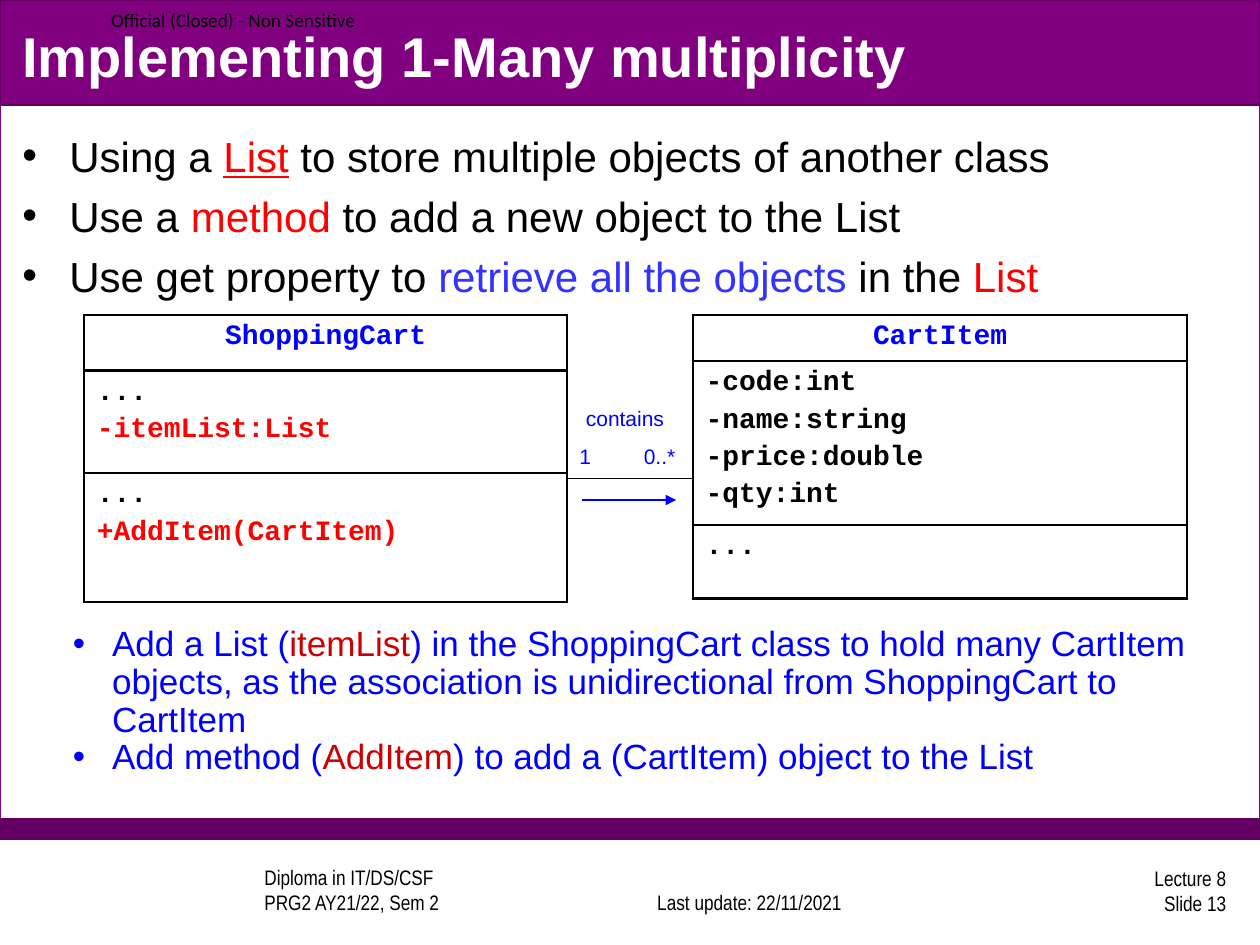
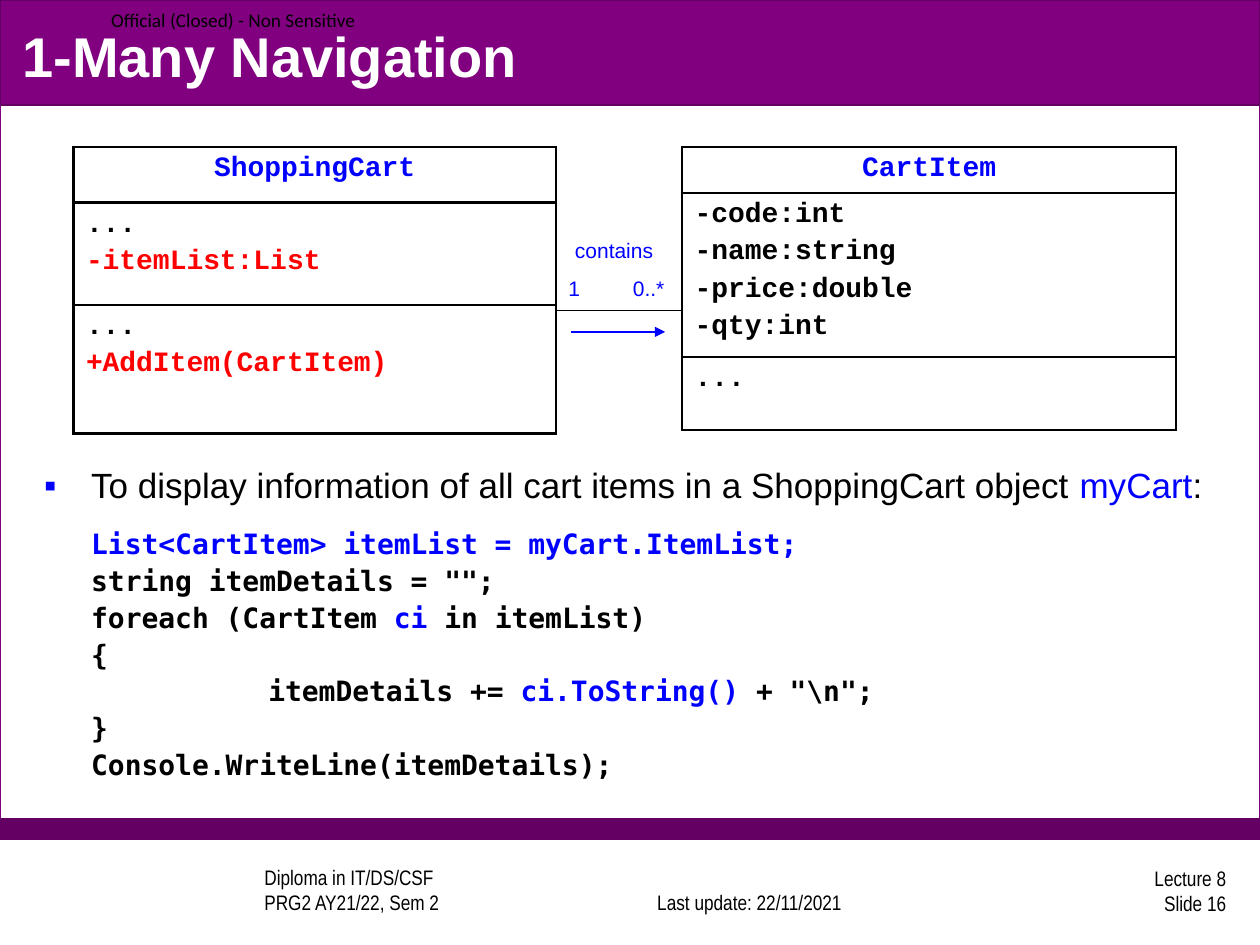
import pptx
import pptx.util
import pptx.dml.color
import pptx.enum.shapes
import pptx.enum.text
import pptx.oxml
import pptx.oxml.ns

Cm = pptx.util.Cm
Pt = pptx.util.Pt
Align = pptx.enum.text.PP_ALIGN
Anchor = pptx.enum.text.MSO_ANCHOR

BLACK, WHITE, BLUE, RED = "000000", "FFFFFF", "0000FF", "FF0000"
PURPLE, DARK_PURPLE, DARK_RED, SOFT_BLUE = "800080", "640064", "CC0000", "3333FF"

TITLE = {"size": 32, "name": "Arial", "bold": True}
BODY = {"size": 24, "name": "Arial"}
NOTE = {"size": 20, "name": "Arial"}
LABEL = {"size": 12, "name": "Arial"}
MEMBER = {"size": 16, "name": "Courier New", "bold": True}
CODE = {"size": 16, "name": "DejaVu Sans Mono", "bold": True}
FOOTER = {"size": 12, "name": "Arial Narrow"}
MARKING = {"size": 11, "name": "Calibri"}

BANDS = [
    ((0, 0, 25.4, 16.93), WHITE, PURPLE),
    ((0, 16.51, 25.4, 0.42), DARK_PURPLE, DARK_PURPLE),
    ((0, 0, 25.4, 2.12), PURPLE, DARK_PURPLE),
]
CART = [
    (1.12, [("ShoppingCart", BLUE)]),
    (2.07, [("...", BLACK), ("-itemList:List", RED)]),
    (2.59, [("...", BLACK), ("+AddItem(CartItem)", RED)]),
]
ITEM = [
    (0.89, [("CartItem", BLUE)]),
    (3.15, [("-code:int", BLACK), ("-name:string", BLACK),
            ("-price:double", BLACK), ("-qty:int", BLACK)]),
    (1.48, [("...", BLACK)]),
]
CART_WIDTH, GAP_WIDTH, ITEM_WIDTH = 9.73, 2.54, 9.96

LIST_POINTS = [
    [("Using a ", BLACK), ("List", RED, True),
     (" to store multiple objects of another class", BLACK)],
    [("Use a ", BLACK), ("method", RED), (" to add a new object to the List", BLACK)],
    [("Use get property to ", BLACK), ("retrieve all the objects", SOFT_BLUE),
     (" in the ", BLACK), ("List", RED)],
]
CLASS_POINTS = [
    [("Add a List (", BLUE), ("itemList", DARK_RED),
     (") in the ShoppingCart class to hold many CartItem objects, as the association "
      "is unidirectional from ShoppingCart to CartItem", BLUE)],
    [("Add method (", BLUE), ("AddItem", DARK_RED),
     (") to add a (CartItem) object to the List", BLUE)],
]
DISPLAY_POINT = [
    ("To display information of all cart items in a ShoppingCart object ", BLACK),
    ("myCart", BLUE), (":", BLACK),
]
CODE_INDENT, LOOP_INDENT = 0.95, 4.52
CODE_LINES = [
    (CODE_INDENT, [("List<CartItem> itemList = myCart.ItemList;", BLUE)]),
    (CODE_INDENT, [('string itemDetails = "";', BLACK)]),
    (CODE_INDENT, [("foreach (CartItem ", BLACK), ("ci", BLUE), (" in itemList)", BLACK)]),
    (CODE_INDENT, [("{", BLACK)]),
    (LOOP_INDENT, [("itemDetails += ", BLACK), ("ci.ToString() ", BLUE),
                   ('+ "\\n";', BLACK)]),
    (CODE_INDENT, [("}", BLACK)]),
    (CODE_INDENT, [("Console.WriteLine(itemDetails);", BLACK)]),
]


def color(value):
    return pptx.dml.color.RGBColor.from_string(value)


def add_xml(parent, tag, content="", **attributes):
    pairs = "".join(f' {key}="{value}"' for key, value in attributes.items())
    parent.append(pptx.oxml.parse_xml(
        f'<a:{tag} {pptx.oxml.ns.nsdecls("a")}{pairs}>{content}</a:{tag}>'))


def write_para(para, spans, style, indent=0, bullet=None, bullet_color=None, tab=None,
               **layout):
    properties = para._p.get_or_add_pPr()
    if indent:
        properties.set("marL", str(Cm(indent)))
        properties.set("indent", str(-Cm(indent) if bullet else 0))
    if bullet_color:
        add_xml(properties, "buClr", f'<a:srgbClr val="{bullet_color}"/>')
    if bullet:
        add_xml(properties, "buFont", typeface="Arial")
        add_xml(properties, "buChar", char=bullet)
    if tab:
        add_xml(properties, "tabLst", f'<a:tab pos="{Cm(tab)}" algn="l"/>')
    for name, value in layout.items():
        setattr(para, name, value)
    for text, span_color, *underline in spans:
        for number, line in enumerate(text.split("\n")):
            if number:
                para.add_line_break()
            span = para.add_run()
            span.text = line
            format_values = {**style, "size": Pt(style["size"]),
                             "underline": bool(underline)}
            for name, value in format_values.items():
                setattr(span.font, name, value)
            span.font.color.rgb = color(span_color)


def write_paras(frame, rows, style, space=0, **options):
    for number, spans in enumerate(rows):
        para = frame.add_paragraph() if number else frame.paragraphs[0]
        write_para(para, spans, style, space_before=Pt(space if number else 0), **options)


def add_text(page, place, rows, style, anchor=Anchor.TOP, inset=True, **options):
    box = page.shapes.add_textbox(*map(Cm, place))
    frame = box.text_frame
    frame.word_wrap = True
    frame.vertical_anchor = anchor
    if not inset:
        for side in ("left", "top", "right", "bottom"):
            setattr(frame, f"margin_{side}", 0)
    write_paras(frame, rows, style, **options)
    return frame


def add_line(page, left, right, top, line_color, arrow=False):
    line = page.shapes.add_connector(
        pptx.enum.shapes.MSO_CONNECTOR.STRAIGHT, Cm(left), Cm(top), Cm(right), Cm(top))
    line.line.color.rgb = color(line_color)
    line.line.width = Pt(0.75)
    if arrow:
        add_xml(line.line._get_or_add_ln(), "tailEnd", type="triangle")
    add_xml(line._element.spPr, "effectLst")


def add_class(page, left, top, width, sections):
    height = sum(section[0] for section in sections)
    table = page.shapes.add_table(
        len(sections), 1, Cm(left), Cm(top), Cm(width), Cm(height)).table
    table.first_row = table.horz_banding = False
    for number, (row_height, members) in enumerate(sections):
        table.rows[number].height = Cm(row_height)
        cell = table.cell(number, 0)
        for side in ("lnL", "lnR", "lnT", "lnB"):
            add_xml(cell._tc.get_or_add_tcPr(), side,
                    f'<a:solidFill><a:srgbClr val="{BLACK}"/></a:solidFill>', w=Pt(1.5))
        cell.fill.background()
        write_paras(cell.text_frame, [[member] for member in members], MEMBER, space=3.2,
                    alignment=Align.LEFT if number else Align.CENTER)


def add_class_diagram(page, left, top):
    gap = left + CART_WIDTH
    add_class(page, gap + GAP_WIDTH, top, ITEM_WIDTH, ITEM)
    add_class(page, left, top, CART_WIDTH, CART)
    add_line(page, gap, gap + GAP_WIDTH, top + 3.3, BLACK)
    add_text(page, (gap, top + 1.7, 2.34, 0.76), [[("contains", BLUE)]], LABEL,
             alignment=Align.CENTER)
    add_line(page, gap + 0.3, gap + 2.2, top + 3.73, BLUE, arrow=True)
    add_text(page, (gap, top + 2.46, GAP_WIDTH, 0.76), [[("1\t0..*", BLUE)]], LABEL, tab=1.3)


def add_page(deck, title, number):
    page = deck.slides.add_slide(deck.slide_layouts[6])
    for place, fill, outline in BANDS:
        band = page.shapes.add_shape(
            pptx.enum.shapes.MSO_SHAPE.RECTANGLE, *map(Cm, place))
        band.shadow.inherit = False
        band.fill.solid()
        band.fill.fore_color.rgb = color(fill)
        band.line.color.rgb = color(outline)
        band.line.width = Pt(0.75)
    add_text(page, (3.81, 17.5, 8.05, 1.07),
             [[("Diploma in IT/DS/CSF\nPRG2 AY21/22, Sem 2", BLACK)]],
             FOOTER, Anchor.BOTTOM, indent=1.27)
    add_text(page, (12.47, 17.5, 5.28, 1.07), [[("Last update: 22/11/2021", BLACK)]],
             FOOTER, Anchor.BOTTOM, alignment=Align.CENTER)
    add_text(page, (19.69, 17.42, 5.28, 1.07), [[(f"Lecture 8\nSlide {number}", BLACK)]],
             FOOTER, Anchor.MIDDLE, alignment=Align.RIGHT)
    add_text(page, (2.24, 0, 5.41, 0.79), [[("Official (Closed) - Non Sensitive", BLACK)]],
             MARKING, Anchor.MIDDLE, inset=False)
    add_text(page, (0.2, 0.33, 24.97, 1.57), [[(title, WHITE)]], TITLE, Anchor.MIDDLE)
    return page


def main():
    deck = pptx.Presentation()
    deck.slide_width, deck.slide_height = Cm(25.4), Cm(19.05)

    page = add_page(deck, "Implementing 1-Many multiplicity", 13)
    add_text(page, (0.2, 2.5, 24.97, 13.84), LIST_POINTS, BODY, space=5.5,
             indent=0.95, bullet="•")
    add_class_diagram(page, 1.7, 6.35)
    add_text(page, (1.22, 12.5, 22.96, 3.33), CLASS_POINTS, NOTE,
             indent=0.79, bullet="•", line_spacing=0.9)

    page = add_page(deck, "1-Many Navigation", 16)
    add_class_diagram(page, 1.48, 2.96)
    frame = add_text(page, (0.64, 9.32, 24.33, 7.42), [DISPLAY_POINT], NOTE,
                     indent=0.95, bullet="▪", bullet_color=BLUE, line_spacing=0.9)
    for number, (indent, spans) in enumerate(CODE_LINES):
        write_para(frame.add_paragraph(), spans, CODE, indent=indent, line_spacing=0.9,
                   space_before=Pt(3.7 if number else 14))

    deck.save("out.pptx")


if __name__ == "__main__":
    main()
